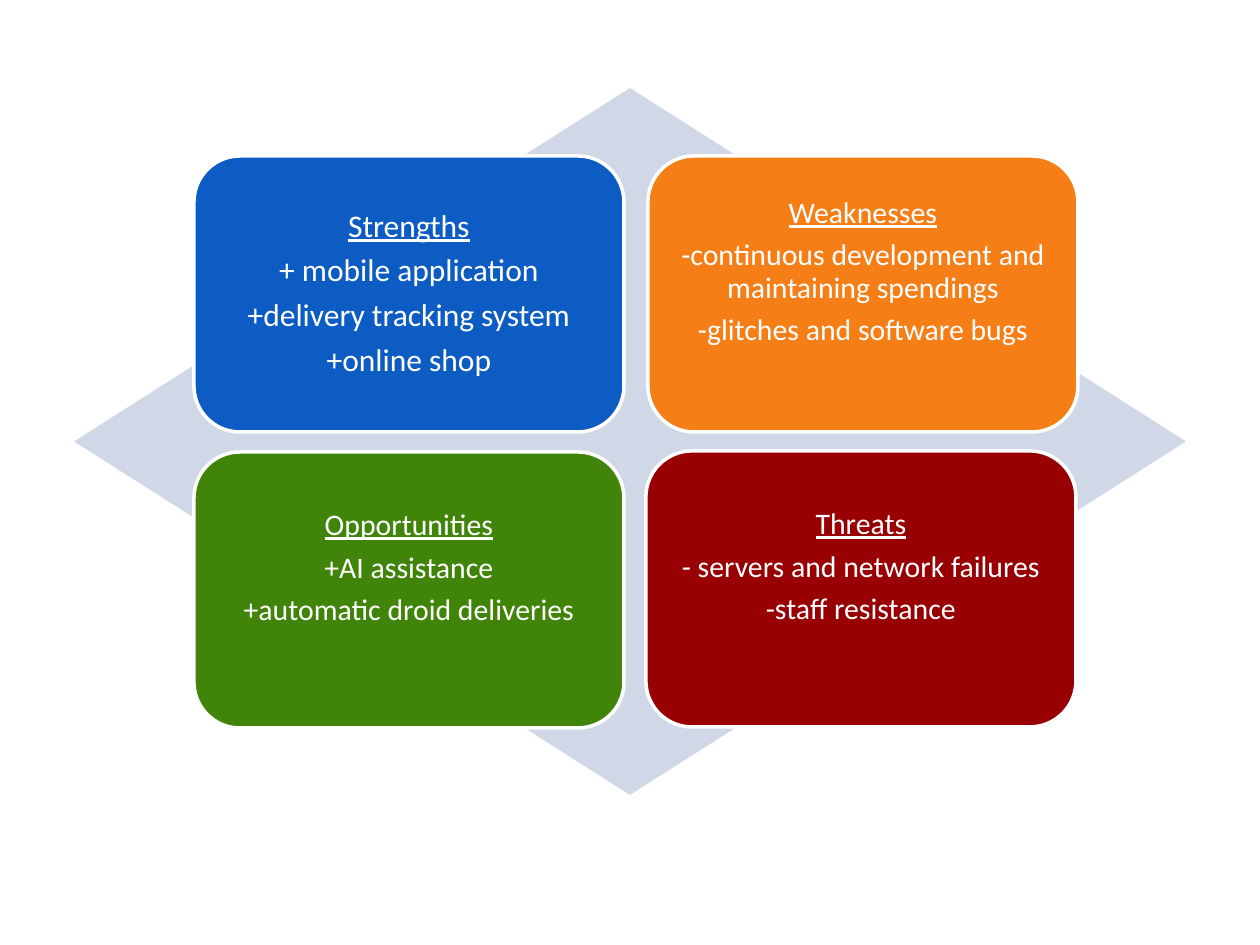
import pptx
import pptx.dml.color
import pptx.enum.shapes
import pptx.enum.text
import pptx.util

RGBColor = pptx.dml.color.RGBColor
Shapes = pptx.enum.shapes.MSO_SHAPE

PIXEL = 914400 // 126
WHITE = RGBColor(0xFF, 0xFF, 0xFF)
PALE_BLUE = RGBColor(0xD0, 0xD8, 0xE8)
BLUE = RGBColor(0x0C, 0x5C, 0xC4)
ORANGE = RGBColor(0xF6, 0x7E, 0x17)
GREEN = RGBColor(0x41, 0x84, 0x0A)
RED = RGBColor(0x98, 0x00, 0x04)

CARD_SIZE = (430, 276)
INSET = 9
LOWER_SPACE = 43

# left, top, colour, text size, extra space below the text, heading, points
CARDS = [
    (194, 156, BLUE, 18, 0, "Strengths",
     ["+ mobile application", "+delivery tracking system", "+online shop"]),
    (648, 156, ORANGE, 17, LOWER_SPACE, "Weaknesses",
     ["-continuous development and maintaining spendings",
      "-glitches and software bugs"]),
    (194, 452, GREEN, 17, LOWER_SPACE, "Opportunities",
     ["+AI assistance", "+automatic droid deliveries"]),
    (646, 451, RED, 17, LOWER_SPACE, "Threats",
     ["- servers and network failures", "-staff resistance"]),
]


def pixels(count):
    """Turn whole pixels into EMU."""
    return pptx.util.Emu(count * PIXEL)


def add_filled_shape(slide, kind, box, colour):
    """Add a flat preset shape without an outline."""
    shape = slide.shapes.add_shape(kind, *map(pixels, box))
    shape.shadow.inherit = False
    shape.fill.solid()
    shape.fill.fore_color.rgb = colour
    shape.line.fill.background()
    return shape


def write_card_text(shape, heading, points, size, space_below):
    """Write an underlined heading and its points, centred in the card."""
    frame = shape.text_frame
    frame.word_wrap = True
    frame.vertical_anchor = pptx.enum.text.MSO_ANCHOR.MIDDLE
    frame.margin_left = frame.margin_right = frame.margin_top = pixels(INSET)
    frame.margin_bottom = pixels(INSET + space_below)
    frame.text = "\n".join([heading, *points])
    for index, paragraph in enumerate(frame.paragraphs):
        paragraph.alignment = pptx.enum.text.PP_ALIGN.CENTER
        paragraph.line_spacing = 0.9
        paragraph.space_after = pptx.util.Pt(6)
        paragraph.font.name = "Calibri"
        paragraph.font.size = pptx.util.Pt(size)
        paragraph.font.color.rgb = WHITE
        paragraph.runs[0].font.underline = index == 0


def add_card(slide, left, top, colour, size, space_below, heading, points):
    """Add one rounded, white-edged card with its text."""
    card = add_filled_shape(
        slide, Shapes.ROUNDED_RECTANGLE, (left, top, *CARD_SIZE), colour)
    card.line.color.rgb = WHITE
    card.line.width = pptx.util.Pt(2)
    write_card_text(card, heading, points, size, space_below)


def main():
    """Build the SWOT slide."""
    presentation = pptx.Presentation()
    presentation.slide_width = pptx.util.Inches(10)
    presentation.slide_height = pptx.util.Inches(7.5)
    slide = presentation.slides.add_slide(presentation.slide_layouts[6])
    add_filled_shape(slide, Shapes.DIAMOND, (74, 88, 1112, 707), PALE_BLUE)
    for card in CARDS:
        add_card(slide, *card)
    presentation.save("out.pptx")


main()
